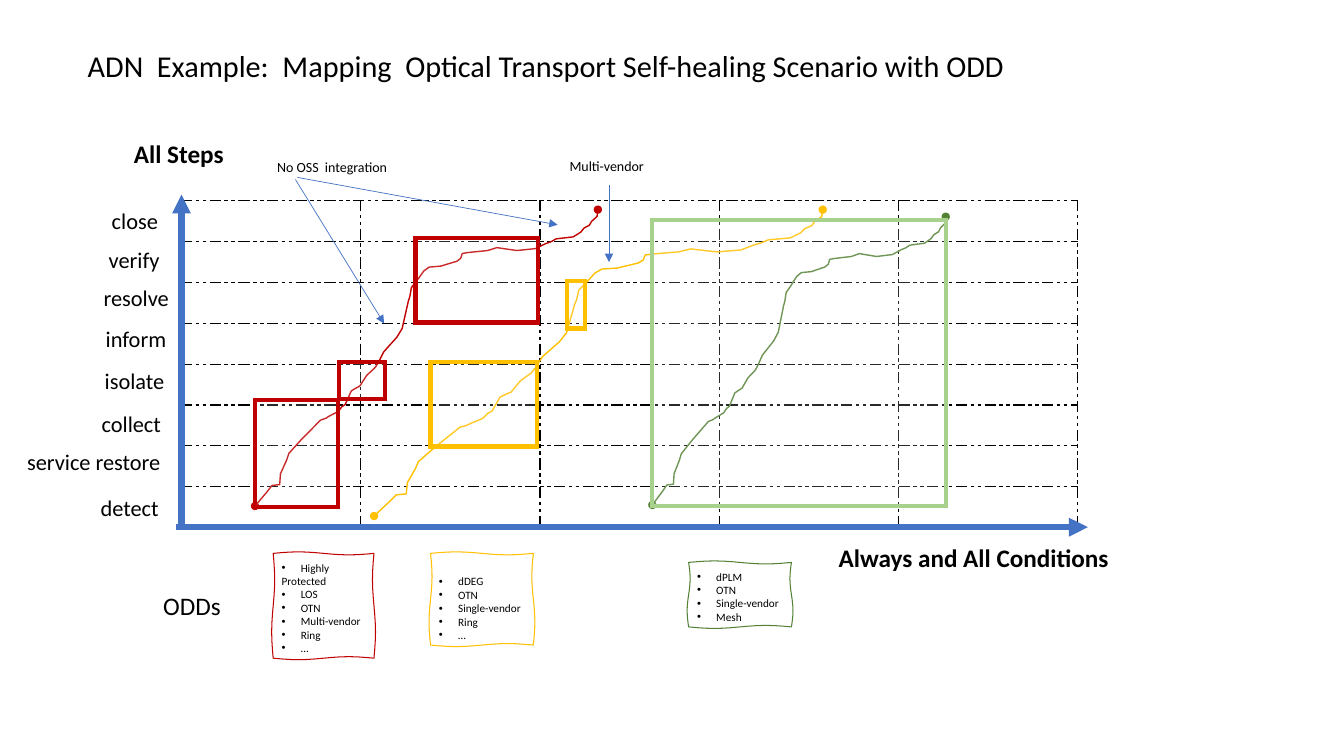
"""Build the slide that maps an optical self-healing scenario to its ODDs."""
import math
from dataclasses import dataclass
from typing import Any

from lxml import etree
from pptx import Presentation
from pptx import util as u
from pptx.dml.color import RGBColor
from pptx.enum import shapes, text
from pptx.oxml import ns

COLORS = {"black": "000000", "white": "FFFFFF", "axis": "4472C4", "red": "C00000",
          "yellow": "FFC000", "green": "548235", "light_green": "A9D18E"}
FONT = "Calibri"
COLUMNS, ROWS = 5, 8
GRID = (1.8, 1.99, 8.89, 3.24)
COURSE_WIDTH, COURSE_HEIGHT = 445, 304
COURSE = [
    (0, 304), (15, 290), (22, 283), (32, 282), (33, 271), (41, 257), (44, 250), (60, 236),
    (75, 224), (85, 216), (92, 214), (96, 212), (108, 207), (113, 202), (117, 200),
    (125, 186), (129, 184), (136, 181), (145, 170), (156, 162), (160, 157), (167, 146),
    (184, 131), (191, 122), (199, 94), (201, 89), (203, 80), (210, 73), (219, 63),
    (226, 59), (241, 58), (262, 53), (267, 50), (269, 45), (277, 44), (302, 42), (314, 39),
    (340, 42), (364, 40), (377, 35), (384, 33), (391, 30), (413, 28), (423, 23),
    (427, 19), (434, 16), (437, 12), (444, 7), (445, 0)]

Box = tuple[float, float, float, float]
Point = tuple[float, float]


@dataclass
class Label:
    """A single line of text and its box."""
    wording: str
    box: Box
    size: float = 16
    bold: bool = False


@dataclass
class Arrow:
    """A straight arrow between two points."""
    start: Point
    end: Point
    width: float = 0.5


@dataclass
class Scenario:
    """A course through the steps, its covered zones and its ODD note."""
    color: str
    zone_color: str
    course: Box
    zones: list[Box]
    note: Box
    conditions: list[str]


LABELS = [
    Label("close", (1.01, 2.01, 0.7, 0.38)),
    Label("verify", (0.98, 2.39, 0.71, 0.38)),
    Label("resolve", (0.93, 2.77, 0.86, 0.38)),
    Label("inform", (0.95, 3.18, 0.85, 0.38)),
    Label("isolate", (0.94, 3.59, 0.84, 0.38)),
    Label("collect", (0.91, 4.02, 0.84, 0.38)),
    Label("service restore", (0.17, 4.4, 1.53, 0.38)),
    Label("detect", (0.9, 4.85, 0.83, 0.38)),
    Label("All Steps", (1.23, 1.32, 1.1, 0.4), 18, True),
    Label("Always and All Conditions", (8.22, 5.33, 2.94, 0.4), 18, True),
    Label("ODDs", (1.52, 5.81, 0.78, 0.4), 18),
    Label("Multi-vendor", (5.55, 1.51, 0.95, 0.27), 10),
    Label("No OSS  integration", (2.65, 1.52, 1.32, 0.27), 10)]
ARROWS = [
    Arrow((1.8, 5.23), (1.8, 1.93), 4.5), Arrow((1.75, 5.23), (10.79, 5.23), 4.5),
    Arrow((6.04, 1.84), (6.04, 2.6)), Arrow((2.95, 1.76), (5.53, 2.23)),
    Arrow((2.93, 1.78), (3.81, 3.21))]
SCENARIOS = [
    Scenario("red", "red", (2.53, 2.08, 3.4, 2.94),
             [(3.36, 3.59, 0.46, 0.37), (4.12, 2.36, 1.22, 0.84), (2.53, 3.97, 0.82, 1.06)],
             (2.71, 5.49, 1, 1.04),
             ["Highly ", "Protected", "LOS", "OTN", "Multi-vendor", "Ring", "…"]),
    Scenario("yellow", "yellow", (3.71, 2.08, 4.45, 3.04),
             [(4.27, 3.59, 1.06, 0.84), (5.62, 2.79, 0.18, 0.47)],
             (4.27, 5.49, 1.02, 0.91), ["dDEG", "OTN", "Single-vendor", "Ring", "…"]),
    Scenario("green", "light_green", (6.47, 2.15, 2.91, 2.86), [(6.47, 2.18, 2.91, 2.84)],
             (6.83, 5.58, 1.02, 0.64), ["dPLM", "OTN", "Single-vendor", "Mesh"])]


def inch(length: float) -> u.Length:
    """Turn inches into a length given in centimetres."""
    return u.Cm(length * 2.54)


def rgb(name: str) -> RGBColor:
    """Look up a colour."""
    return RGBColor.from_string(COLORS[name])


def add_xml(parent: Any, tag: str, **attributes: str) -> Any:
    """Append a drawing element."""
    return etree.SubElement(parent, ns.qn(tag), **attributes)


def set_line(drawn: Any, color: str, width: float) -> Any:
    """Colour an outline and return its element."""
    drawn.line.color.rgb = rgb(color)
    drawn.line.width = u.Pt(width)
    return drawn.element.spPr.find(ns.qn("a:ln"))


def write(frame: Any, wording: str, size: float, bold: bool = False) -> None:
    """Set black, left-aligned text."""
    frame.text = wording
    for paragraph in frame.paragraphs:
        paragraph.alignment = text.PP_ALIGN.LEFT
        for run in paragraph.runs:
            run.font.name, run.font.size, run.font.bold = FONT, u.Pt(size), bold
            run.font.color.rgb = rgb("black")


def add_outline(slide: Any, points: list[Point], closed: bool) -> Any:
    """Draw an unfilled outline through the points."""
    corners = [(inch(x), inch(y)) for x, y in points]
    builder = slide.shapes.build_freeform(*corners[0])
    builder.add_line_segments(corners[1:], close=closed)
    outline = builder.convert_to_shape()
    outline.fill.background()
    outline.shadow.inherit = False
    return outline


def add_grid(slide: Any) -> None:
    """Draw the dashed grid of steps and conditions."""
    grid = slide.shapes.add_table(ROWS, COLUMNS, *map(inch, GRID)).table
    grid.first_row = grid.horz_banding = False
    for row in grid.rows:
        row.height = inch(GRID[3] / ROWS)
        for cell in row.cells:
            properties = cell._tc.get_or_add_tcPr()
            for side in "LRTB":
                border = add_xml(properties, f"a:ln{side}", w=str(u.Pt(1)))
                add_xml(add_xml(border, "a:solidFill"), "a:srgbClr", val=COLORS["black"])
                add_xml(border, "a:prstDash", val="sysDashDotDot")
            cell.fill.background()


def add_label(slide: Any, label: Label) -> None:
    """Place one line of text."""
    frame = slide.shapes.add_textbox(*map(inch, label.box)).text_frame
    frame.word_wrap = False
    write(frame, label.wording, label.size, label.bold)


def add_arrow(slide: Any, arrow: Arrow) -> None:
    """Draw one blue arrow."""
    connector = slide.shapes.add_connector(
        shapes.MSO_CONNECTOR.STRAIGHT, *map(inch, arrow.start + arrow.end))
    add_xml(set_line(connector, "axis", arrow.width), "a:tailEnd", type="triangle")
    add_xml(connector.element.spPr, "a:effectLst")


def add_course(slide: Any, scenario: Scenario) -> None:
    """Fit the shared course into the scenario's area."""
    left, top, width, height = scenario.course
    points = [(left + x / COURSE_WIDTH * width, top + y / COURSE_HEIGHT * height)
              for x, y in COURSE]
    line = set_line(add_outline(slide, points, False), scenario.color, 1)
    for end in ("a:headEnd", "a:tailEnd"):
        add_xml(line, end, type="oval")


def add_zone(slide: Any, box: Box, color: str) -> None:
    """Frame a covered zone with a translucent rectangle."""
    zone = slide.shapes.add_shape(shapes.MSO_SHAPE.RECTANGLE, *map(inch, box))
    zone.fill.solid()
    zone.fill.fore_color.rgb = rgb("white")
    add_xml(zone.element.spPr.find(".//" + ns.qn("a:srgbClr")), "a:alpha", val="16000")
    add_xml(set_line(zone, color, 3), "a:miter", lim="800000")
    zone.shadow.inherit = False


def add_note(slide: Any, scenario: Scenario) -> None:
    """List the conditions inside a wavy frame."""
    left, top, width, height = scenario.note
    steps = [step / 12 for step in range(12)]
    waves = [(t, -0.015 * math.sin(2 * math.pi * t)) for t in steps]
    points = ([(left + t * width, top + w) for t, w in waves]
              + [(left + width + w, top + t * height) for t, w in waves]
              + [(left + width - t * width, top + height + w) for t, w in waves]
              + [(left + w, top + height - t * height) for t, w in waves])
    note = add_outline(slide, points, True)
    set_line(note, scenario.color, 0.75)
    frame = note.text_frame
    frame.word_wrap = False
    frame.vertical_anchor = text.MSO_ANCHOR.BOTTOM
    write(frame, "\n".join(scenario.conditions), 8)
    for paragraph in frame.paragraphs:
        if paragraph.text != "Protected":
            properties = paragraph._p.get_or_add_pPr()
            properties.set("marL", str(inch(0.19)))
            properties.set("indent", str(inch(-0.19)))
            add_xml(properties, "a:buFont", typeface="Arial")
            add_xml(properties, "a:buChar", char="•")


def main() -> None:
    """Compose and save the slide."""
    deck = Presentation()
    deck.slide_width, deck.slide_height = inch(13.33), inch(7.5)
    slide = deck.slides.add_slide(deck.slide_layouts[5])
    title = slide.shapes.title
    title.left, title.top, title.width, title.height = map(inch, (0.77, 0.51, 11.5, 0.61))
    frame = title.text_frame
    write(frame, "ADN  Example:  Mapping  Optical Transport Self-healing Scenario with ODD", 21.6)
    frame.auto_size = text.MSO_AUTO_SIZE.NONE
    frame.vertical_anchor = text.MSO_ANCHOR.TOP
    frame.margin_top = 0
    frame.paragraphs[0].line_spacing = 0.9
    add_grid(slide)
    for label in LABELS:
        add_label(slide, label)
    for arrow in ARROWS:
        add_arrow(slide, arrow)
    for scenario in SCENARIOS:
        add_course(slide, scenario)
        for zone in scenario.zones:
            add_zone(slide, zone, scenario.zone_color)
        add_note(slide, scenario)
    deck.save("out.pptx")


main()
